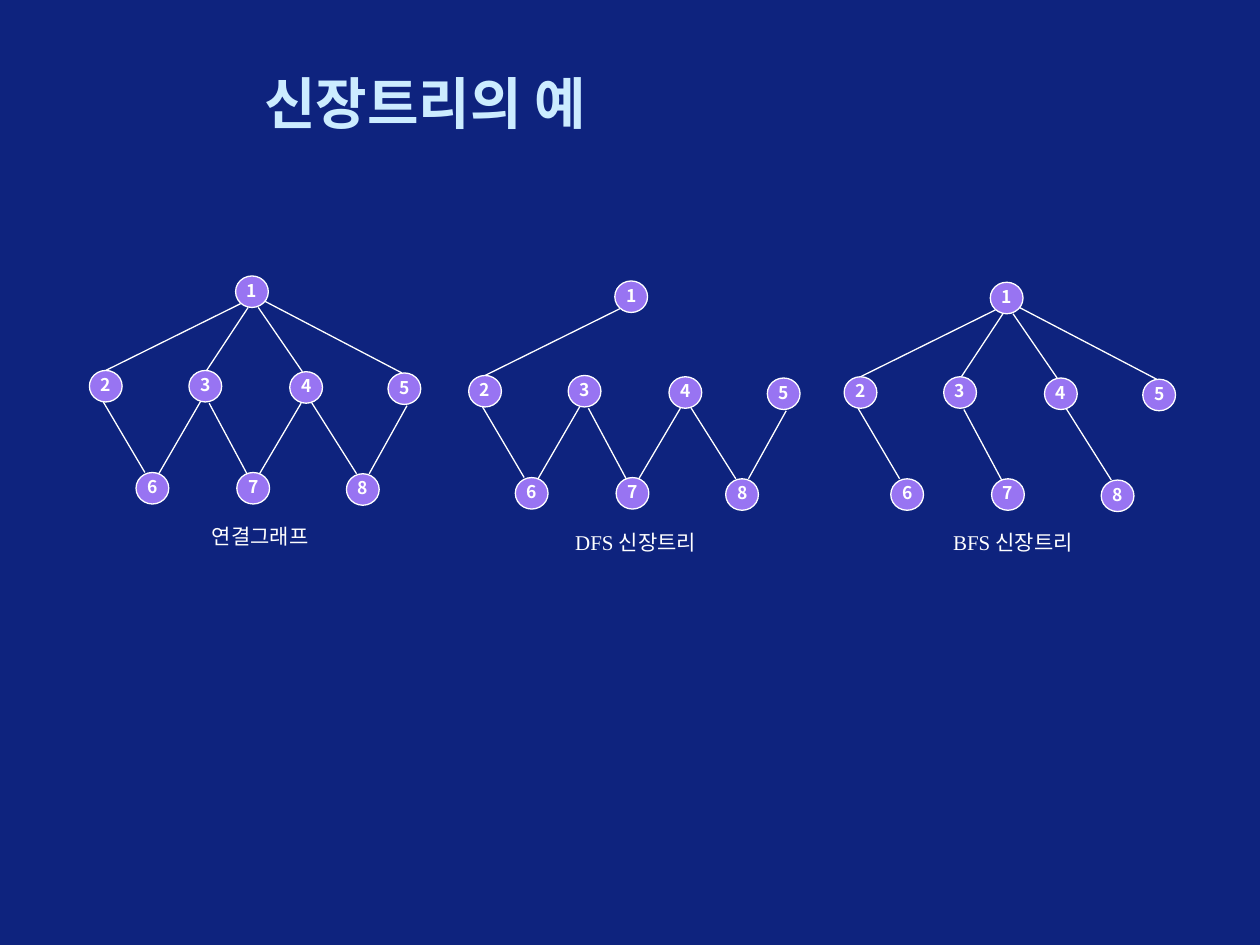
import pptx
import pptx.dml.color
import pptx.enum.shapes
import pptx.enum.text
import pptx.util
from lxml import etree

Inches = pptx.util.Inches
ALIGN = pptx.enum.text.PP_ALIGN
ANCHOR = pptx.enum.text.MSO_ANCHOR

BACKGROUND, NODE_FILL, WHITE, TITLE_COLOR = "0E237E", "9874F2", "FFFFFF", "CCECFF"
TITLE_FORMAT = {"name": "Arial", "size": pptx.util.Pt(32), "bold": True}
NODE_FORMAT = {"name": "Noto Sans CJK KR", "size": pptx.util.Pt(10), "bold": True}
CAPTION_FORMAT = {"name": "Times New Roman", "size": pptx.util.Pt(12), "bold": False}

# Positions within one graph; each graph shifts them by its own offset.
NODES = {
    1: (1.87, 2.19),
    2: (0.71, 2.94), 3: (1.5, 2.94), 4: (2.3, 2.95), 5: (3.08, 2.96),
    6: (1.08, 3.75), 7: (1.88, 3.75), 8: (2.75, 3.76),
}
EDGES = {
    (1, 2): (1.91, 2.41, 0.84, 2.94),
    (1, 3): (1.97, 2.44, 1.64, 2.94),
    (1, 4): (2.05, 2.44, 2.4, 2.95),
    (1, 5): (2.1, 2.39, 3.19, 2.96),
    (2, 6): (0.82, 3.19, 1.15, 3.75),
    (3, 6): (1.59, 3.19, 1.26, 3.76),
    (3, 7): (1.66, 3.2, 1.96, 3.76),
    (4, 7): (2.39, 3.2, 2.06, 3.76),
    (4, 8): (2.47, 3.19, 2.83, 3.76),
    (5, 8): (3.23, 3.22, 2.93, 3.76),
}
DFS_EDGES = [(1, 2), (2, 6), (3, 6), (3, 7), (4, 7), (4, 8), (5, 8)]
BFS_EDGES = [(1, 2), (1, 3), (1, 4), (1, 5), (2, 6), (3, 7), (4, 8)]

# Horizontal and vertical offset, edges, caption, caption box
GRAPHS = [
    (0, 0, list(EDGES), "연결그래프", (1.55, 4.11, 1.03, 0.3)),
    (3.01, 0.04, DFS_EDGES, "DFS 신장트리", (4.44, 4.15, 1.21, 0.3)),
    (5.99, 0.05, BFS_EDGES, "BFS 신장트리", (7.44, 4.15, 1.2, 0.3)),
]


def color(hex_value):
    return pptx.dml.color.RGBColor.from_string(hex_value)


class GraphSlide:
    """Holds the slide and the common style of its graphs."""

    def __init__(self, slide):
        self.slide = slide
        self.line_width = pptx.util.Pt(0.75)
        slide.background.fill.solid()
        slide.background.fill.fore_color.rgb = color(BACKGROUND)

    def outline(self, shape):
        shape.line.color.rgb = color(WHITE)
        shape.line.width = self.line_width

    def text(self, text, box, font_format, text_color=WHITE, align=ALIGN.CENTER,
             anchor=ANCHOR.TOP, wrap=False):
        shape = self.slide.shapes.add_textbox(*map(Inches, box))
        frame = shape.text_frame
        frame.word_wrap = wrap
        frame.vertical_anchor = anchor
        paragraph = frame.paragraphs[0]
        paragraph.alignment = align
        run = paragraph.add_run()
        run.text = text
        for name, value in font_format.items():
            setattr(run.font, name, value)
        run.font.color.rgb = color(text_color)

    def node(self, number, left, top):
        shape = self.slide.shapes.add_shape(
            pptx.enum.shapes.MSO_SHAPE.OVAL,
            *map(Inches, (left, top, 0.26, 0.25)))
        shape.shadow.inherit = False
        shape.fill.solid()
        shape.fill.fore_color.rgb = color(NODE_FILL)
        self.outline(shape)
        self.text(str(number), (left - 0.01, top - 0.02, 0.28, 0.27), NODE_FORMAT)

    def edge(self, *ends):
        connector = self.slide.shapes.add_connector(
            pptx.enum.shapes.MSO_CONNECTOR.STRAIGHT, *map(Inches, ends))
        self.outline(connector)
        etree.SubElement(connector._element.spPr, pptx.oxml.ns.qn("a:effectLst"))

    def graph(self, offset_x, offset_y, edges):
        for number, (left, top) in NODES.items():
            self.node(number, left + offset_x, top + offset_y)
        for pair in edges:
            x1, y1, x2, y2 = EDGES[pair]
            self.edge(x1 + offset_x, y1 + offset_y, x2 + offset_x, y2 + offset_y)


def main():
    presentation = pptx.Presentation()
    presentation.slide_width = Inches(10)
    presentation.slide_height = Inches(7.5)
    page = GraphSlide(presentation.slides.add_slide(presentation.slide_layouts[6]))

    page.text("신장트리의 예", (2, 0.5, 7.58, 0.62), TITLE_FORMAT, TITLE_COLOR,
              ALIGN.LEFT, ANCHOR.MIDDLE, wrap=True)
    for offset_x, offset_y, edges, caption, caption_box in GRAPHS:
        page.graph(offset_x, offset_y, edges)
        page.text(caption, caption_box, CAPTION_FORMAT)

    presentation.save("out.pptx")


if __name__ == "__main__":
    main()
